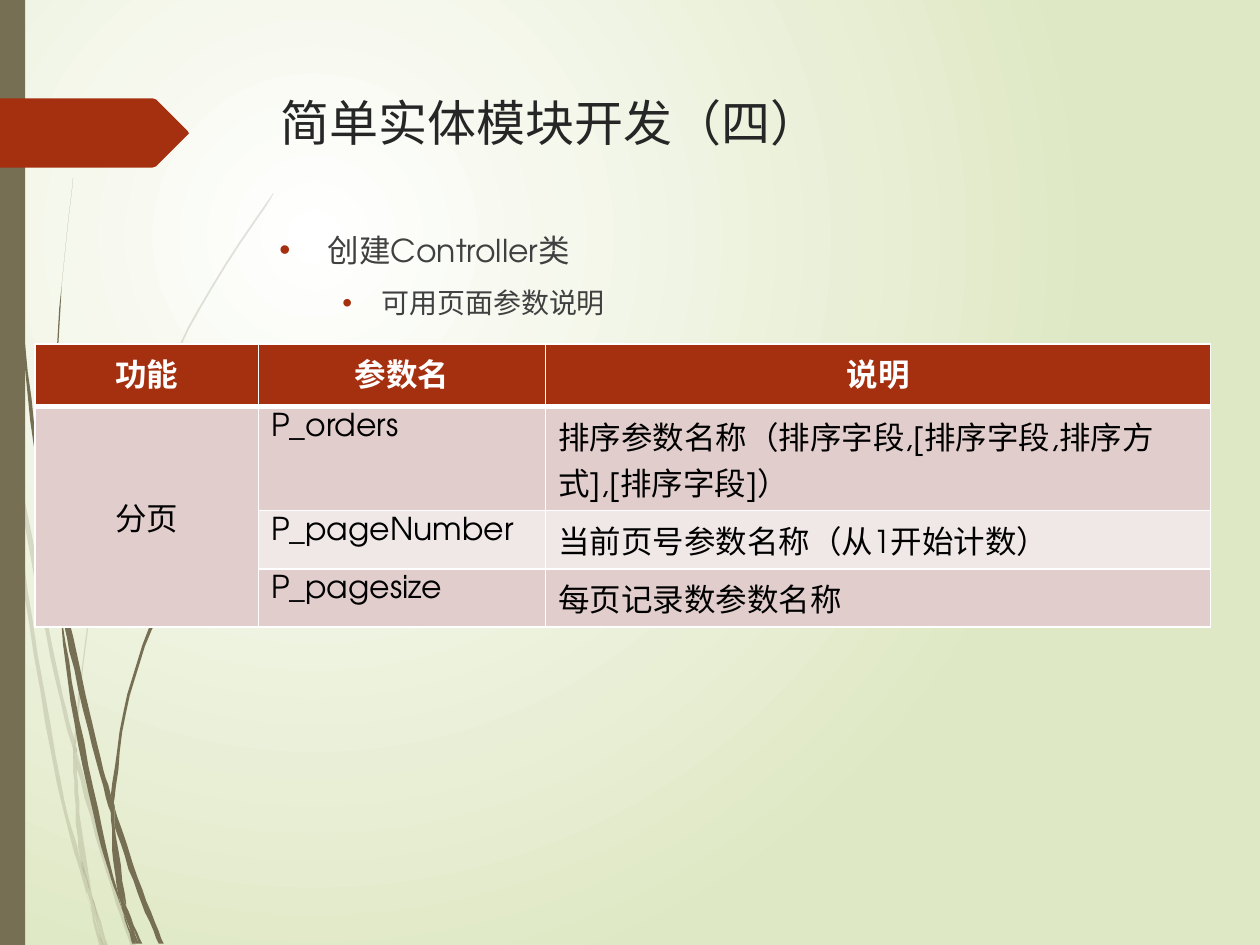
"""Build the slide on simple entity modules, with its page-parameter table."""
from dataclasses import dataclass
from typing import NamedTuple

from lxml.etree import SubElement
from pptx import Presentation
from pptx.dml.color import RGBColor as Rgb
from pptx.enum.shapes import MSO_SHAPE as Preset
from pptx.enum.text import MSO_ANCHOR as Anchor, MSO_AUTO_SIZE as AutoSize, PP_ALIGN as Align
from pptx.oxml.ns import qn
from pptx.util import Cm, Pt


@dataclass(frozen=True)
class Theme:
    font: str = "TeX Gyre Adventor"
    olive: str = "766F54"
    rust: str = "A53010"
    white: str = "FFFFFF"
    black: str = "000000"
    meadow: str = "DFE8C4"
    title_ink: str = "262626"
    body_ink: str = "404040"
    bands: tuple = ("E1CDCC", "F0E8E7")
    title_size: int = 28
    text_size: int = 18
    small_size: int = 16


class Box(NamedTuple):
    left: float
    top: float
    width: float
    height: float

    def lengths(self) -> list:
        return [Cm(value) for value in self]


class Bullet(NamedTuple):
    text: str
    level: int
    size: int
    margin: float
    hang: float


class Frond(NamedTuple):
    down: tuple
    back: tuple


THEME = Theme()
GRID = Cm(2.54) / 100

PALE_FRONDS = (
    Frond(((8, 350), (6, 322), (0, 282)), ((0, 299), (8, 350))),
    Frond(((10, 345), (43, 520), (59, 586)), ((59, 599), (40, 522), (12, 376), (10, 355))),
    Frond(((61, 596), (64, 607), (88, 692), (108, 751)), ((104, 751), (85, 694), (61, 610))),
    Frond(((73, 711), (86, 751)), ((83, 751), (73, 711))),
    Frond(((8, 350), (22, 469), (48, 619), (64, 683), (70, 714)),
          ((64, 693), (45, 621), (19, 470), (8, 350))),
    Frond(((58, 599), (60, 646), (64, 683), (73, 711)), ((63, 646), (61, 610), (58, 599))),
    Frond(((61, 596), (61, 584), (76, 462), (111, 349), (159, 245), (217, 154)),
          ((217, 153), (158, 244), (110, 348), (75, 461), (59, 584))),
    Frond(((70, 714), (79, 751)), ((82, 751), (70, 714))),
    Frond(((61, 610), (61, 596), (59, 586)), ((58, 599), (61, 608))),
    Frond(((65, 683), (69, 707), (82, 751)), ((83, 751), (73, 711), (65, 683))),
)
DARK_FRONDS = (
    Frond(((2, 0), (5, 110), (14, 233), (27, 355), (47, 481)),
          ((45, 453), (30, 355), (15, 232), (6, 109), (3, 0))),
    Frond(((50, 472), (77, 590), (88, 631)), ((88, 645), (73, 592), (53, 505), (50, 472))),
    Frond(((91, 641), (113, 706), (130, 749)), ((126, 749), (109, 708), (91, 656))),
    Frond(((47, 477), (60, 556), (81, 657), (97, 722)),
          ((92, 708), (77, 659), (56, 557), (47, 477))),
    Frond(((50, 472), (44, 349), (48, 245), (58, 141)),
          ((58, 141), (47, 245), (43, 349), (45, 449), (49, 472))),
    Frond(((100, 719), (110, 749)), ((113, 749), (100, 719))),
    Frond(((45, 449), (50, 472), (53, 505)), ((47, 477), (45, 453))),
    Frond(((91, 641), (91, 633), (103, 552), (131, 476), (169, 406), (216, 344)),
          ((215, 344), (168, 405), (129, 474), (101, 551), (88, 631))),
    Frond(((97, 722), (105, 749)), ((108, 749), (97, 722))),
    Frond(((88, 645), (91, 691), (100, 719)), ((100, 716), (91, 656), (88, 645))),
    Frond(((88, 631), (91, 641), (91, 656)), ((88, 645), (88, 631))),
    Frond(((91, 691), (97, 722), (108, 749)), ((110, 749), (100, 719), (91, 691))),
)
POINTER = ((0, 78), (121, 78), (124, 79), (149, 104), (150, 105.5),
           (149, 107), (124, 132), (121, 133), (0, 133))
BULLETS = (
    Bullet("创建Controller类", 0, THEME.text_size, 0.97, 0.97),
    Bullet("可用页面参数说明", 1, THEME.small_size, 2.06, 0.79),
)
HEADINGS = ("功能", "参数名", "说明")
PARAMETERS = (
    ("P_orders", "排序参数名称（排序字段,[排序字段,排序方式],[排序字段]）"),
    ("P_pageNumber", "当前页号参数名称（从1开始计数）"),
    ("P_pagesize", "每页记录数参数名称"),
)


def smooth(points: tuple, steps: int = 6) -> list:
    """Return points along a Catmull-Rom curve through the given ones."""
    padded = (points[0], *points, points[-1])
    curve = [points[0]]
    for a, b, c, d in zip(padded, padded[1:], padded[2:], padded[3:]):
        for step in range(1, steps + 1):
            t = step / steps
            curve.append(tuple(
                q + ((r - p) * t + (2 * p - 5 * q + 4 * r - s) * t ** 2
                     + (3 * q - p - 3 * r + s) * t ** 3) / 2
                for p, q, r, s in zip(a, b, c, d)))
    return curve


def paint(shape, color: str, alpha: int = 100) -> None:
    """Give a shape a flat fill without line or shadow."""
    shape.shadow.inherit = False
    shape.line.fill.background()
    shape.fill.solid()
    shape.fill.fore_color.rgb = Rgb.from_string(color)
    if alpha < 100:
        tint = shape._element.spPr.find(qn("a:solidFill"))[0]
        SubElement(tint, qn("a:alpha"), val=str(alpha * 1000))


def draw_outline(page, points, color: str, alpha: int = 100) -> None:
    """Draw a closed outline given in grid units."""
    builder = page.shapes.build_freeform(*points[0], scale=GRID)
    builder.add_line_segments(points[1:], close=True)
    paint(builder.convert_to_shape(), color, alpha)


def format_runs(para, size: int, color: str, bold: bool = False) -> None:
    """Set the font of every run in a paragraph."""
    for span in para.runs:
        span.font.name = THEME.font
        span.font.size = Pt(size)
        span.font.bold = bold
        span.font.color.rgb = Rgb.from_string(color)


def place(holder, box: Box):
    """Move a placeholder and return its text frame, set from the top."""
    holder.left, holder.top, holder.width, holder.height = box.lengths()
    frame = holder.text_frame
    frame.word_wrap = True
    frame.auto_size = AutoSize.NONE
    frame.vertical_anchor = Anchor.TOP
    return frame


def fill_background(page) -> None:
    """Spread a circular gradient from the upper left."""
    fill = page.background.fill
    fill.gradient()
    for stop, color in zip(fill.gradient_stops, (THEME.white, THEME.meadow)):
        stop.color.rgb = Rgb.from_string(color)
    gradient = page._element.find(".//" + qn("a:gradFill"))
    gradient.remove(gradient.find(qn("a:lin")))
    circle = SubElement(gradient, qn("a:path"), path="circle")
    SubElement(circle, qn("a:fillToRect"), l="50000", t="50000", r="100000", b="100000")
    gradient.find(qn("a:gsLst")).addnext(circle)


def write_bullet(para, bullet: Bullet) -> None:
    """Write one bulleted line."""
    para.text = bullet.text
    para.level = bullet.level
    para.space_before = Pt(10)
    format_runs(para, bullet.size, THEME.body_ink)
    props = para._p.get_or_add_pPr()
    props.set("marL", str(Cm(bullet.margin)))
    props.set("indent", str(-Cm(bullet.hang)))
    SubElement(SubElement(props, qn("a:buClr")), qn("a:srgbClr"), val=THEME.rust)
    SubElement(props, qn("a:buFont"), typeface="Arial")
    SubElement(props, qn("a:buChar"), char="•")


def style_cell(cell, text: str, fill: str, row: int, centred: bool) -> None:
    """Fill, border and letter one table cell."""
    header = row == 0
    props = cell._tc.get_or_add_tcPr()
    for side, heavy in (("L", False), ("R", False), ("T", row == 1), ("B", header)):
        line = SubElement(props, qn(f"a:ln{side}"), w=str(Pt(3 if heavy else 1)))
        SubElement(SubElement(line, qn("a:solidFill")), qn("a:srgbClr"), val=THEME.white)
    cell.fill.solid()
    cell.fill.fore_color.rgb = Rgb.from_string(fill)
    para = cell.text_frame.paragraphs[0]
    para.text = text
    para.alignment = Align.CENTER if centred else Align.LEFT
    format_runs(para, THEME.text_size, THEME.white if header else THEME.black, header)


def draw_table(page) -> None:
    """Draw the table of page parameters."""
    rows = (HEADINGS, *(("" if n else "分页", *pair) for n, pair in enumerate(PARAMETERS)))
    box = Box(0.71, 6.93, 23.69, 4.18)
    table = page.shapes.add_table(len(rows), len(HEADINGS), *box.lengths()).table
    for column, width in zip(table.columns, (4.5, 5.79, 13.4)):
        column.width = Cm(width)
    for r, texts in enumerate(rows):
        table.rows[r].height = Cm(0.97 if r else 1.27)
        for c, text in enumerate(texts):
            band = THEME.bands[(r - 1) % 2 if c else 0]
            style_cell(table.cell(r, c), text, band if r else THEME.rust, r, r == 0 or c == 0)
    group = table.cell(1, 0)
    group.merge(table.cell(len(PARAMETERS), 0))
    group.vertical_anchor = Anchor.MIDDLE


def main() -> None:
    """Assemble and save the deck."""
    deck = Presentation()
    deck.slide_width, deck.slide_height = Cm(25.4), Cm(19.05)
    page = deck.slides.add_slide(deck.slide_layouts[1])
    fill_background(page)
    for fronds, alpha in ((PALE_FRONDS, 20), (DARK_FRONDS, 100)):
        for frond in fronds:
            draw_outline(page, smooth(frond.down) + smooth(frond.back), THEME.olive, alpha)
    paint(page.shapes.add_shape(Preset.RECTANGLE, *Box(0, 0, 0.51, 19.05).lengths()), THEME.olive)
    draw_outline(page, POINTER, THEME.rust)
    title = place(page.shapes.title, Box(5.41, 1.73, 18.31, 3.56))
    title.text = "简单实体模块开发（四）"
    title.paragraphs[0].alignment = Align.LEFT
    format_runs(title.paragraphs[0], THEME.title_size, THEME.title_ink)
    body = place(page.placeholders[1], Box(5.38, 4.52, 18.31, 14.53))
    body.text = "\n".join(bullet.text for bullet in BULLETS)
    for para, bullet in zip(body.paragraphs, BULLETS):
        write_bullet(para, bullet)
    draw_table(page)
    deck.save("out.pptx")


if __name__ == "__main__":
    main()
